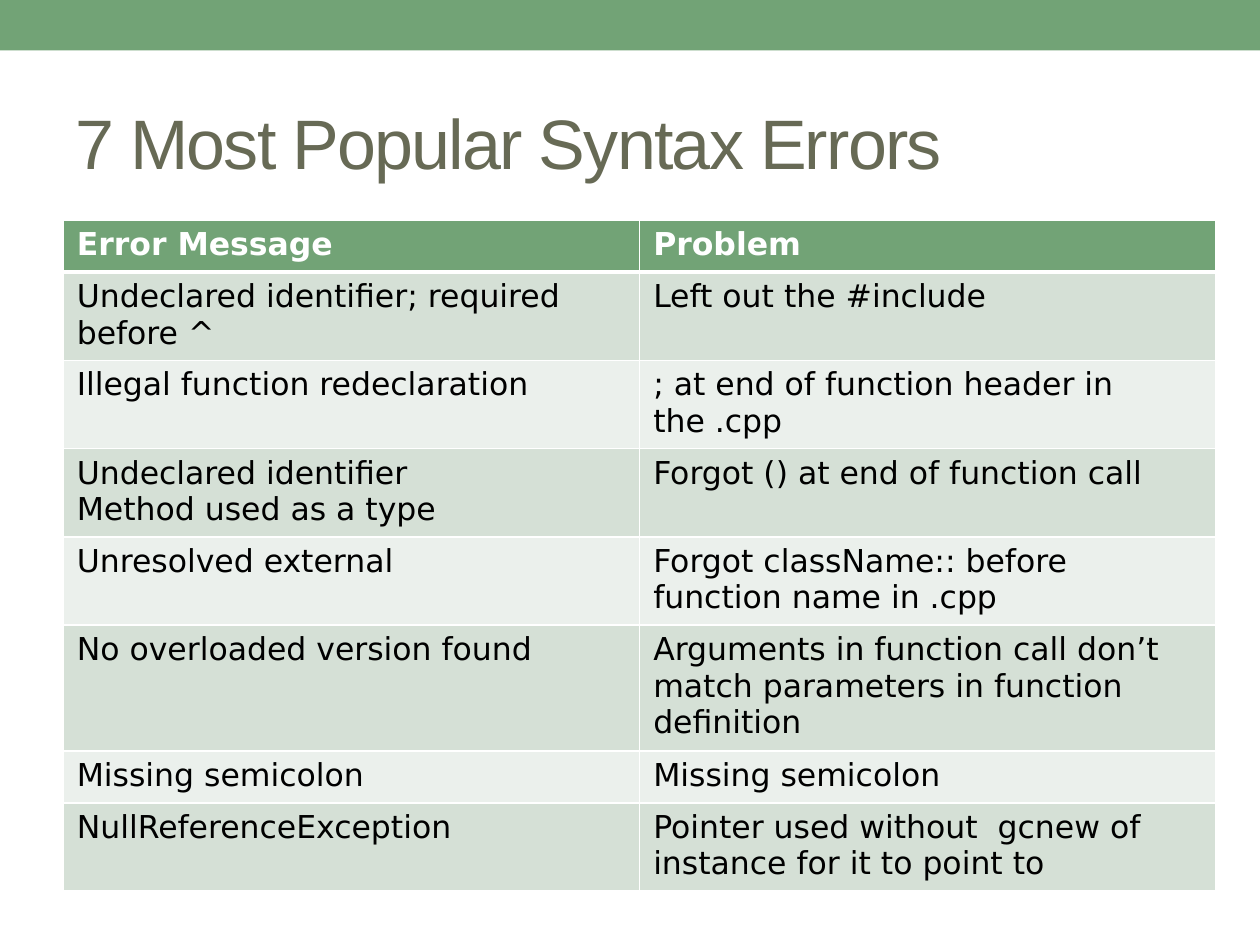
"""Build the slide listing the most popular syntax errors."""
from typing import NamedTuple

from lxml import etree
from pptx import Presentation
from pptx.dml.color import RGBColor
from pptx.enum.shapes import MSO_SHAPE
from pptx.enum.text import MSO_ANCHOR
from pptx.oxml.ns import qn
from pptx.slide import Slide
from pptx.table import _Cell
from pptx.util import Inches, Pt

RECTANGLE = MSO_SHAPE.RECTANGLE
MIDDLE = MSO_ANCHOR.MIDDLE
GREEN, WHITE, BLACK, OLIVE = "72A376", "FFFFFF", "000000", "676A55"
BANDS = ("D5E0D6", "EBF0EC")
THIN, THICK = 1, 3


class ErrorRow(NamedTuple):
    """An error message and the problem behind it."""

    message: str
    problem: str


HEADER = ErrorRow("Error Message", "Problem")
ERRORS = (
    ErrorRow("Undeclared identifier; required before ^", "Left out the #include"),
    ErrorRow("Illegal function redeclaration", "; at end of function header in the .cpp"),
    ErrorRow("Undeclared identifier\nMethod used as a type", "Forgot () at end of function call"),
    ErrorRow("Unresolved external", "Forgot className:: before function name in .cpp"),
    ErrorRow(
        "No overloaded version found",
        "Arguments in function call don’t match parameters in function definition",
    ),
    ErrorRow("Missing semicolon", "Missing semicolon"),
    ErrorRow(
        "NullReferenceException",
        "Pointer used without  gcnew of instance for it to point to",
    ),
)


def color(value: str) -> RGBColor:
    """Turn a hex string into a colour."""
    return RGBColor.from_string(value)


def add_band(page: Slide) -> None:
    """Draw the green band along the top edge."""
    band = page.shapes.add_shape(RECTANGLE, 0, 0, Inches(10), Inches(0.4))
    band.shadow.inherit = False
    band.fill.solid()
    band.fill.fore_color.rgb = color(GREEN)
    band.line.fill.background()


def add_title(page: Slide, text: str) -> None:
    """Write the slide title with slightly tightened letters."""
    box = page.shapes.add_textbox(Inches(0.5), Inches(0.58), Inches(9), Inches(1.08))
    frame = box.text_frame
    frame.word_wrap = True
    frame.vertical_anchor = MIDDLE
    para = frame.paragraphs[0]
    span = para.add_run()
    span.text = text
    para.font.name = span.font.name = "Arial"
    span.font.size = Pt(40)
    span.font.color.rgb = color(OLIVE)
    span.font._element.set("spc", "-100")


def add_border(cell: _Cell, side: str, width: int) -> None:
    """Give one side of a cell a white line."""
    properties = cell._tc.get_or_add_tcPr()
    line = etree.SubElement(properties, qn(f"a:ln{side}"), w=str(Pt(width)))
    fill = etree.SubElement(line, qn("a:solidFill"))
    etree.SubElement(fill, qn("a:srgbClr"), val=WHITE)


def fill_cell(cell: _Cell, text: str, row: int) -> None:
    """Write and style a cell by its row number."""
    is_header = row == 0
    cell.text = text
    cell.margin_left = cell.margin_right = Inches(0.11)
    cell.margin_top = cell.margin_bottom = Inches(0.05)
    add_border(cell, "L", THIN)
    add_border(cell, "R", THIN)
    add_border(cell, "T", THICK if row == 1 else THIN)
    add_border(cell, "B", THICK if is_header else THIN)
    cell.fill.solid()
    cell.fill.fore_color.rgb = color(GREEN if is_header else BANDS[(row - 1) % 2])
    for para in cell.text_frame.paragraphs:
        para.font.name = "DejaVu Sans"
        para.font.size = Pt(18)
        para.font.bold = is_header
        para.font.color.rgb = color(WHITE if is_header else BLACK)


def add_error_table(page: Slide) -> None:
    """Lay out the error messages beside their problems."""
    rows = (HEADER, *ERRORS)
    table = page.shapes.add_table(
        len(rows), len(HEADER), Inches(0.5), Inches(1.75),
        Inches(9.15), Inches(0.41 * len(rows)),
    ).table
    for row, entry in enumerate(rows):
        for column, text in enumerate(entry):
            fill_cell(table.cell(row, column), text, row)


def main() -> None:
    """Build and save the deck."""
    deck = Presentation()
    deck.slide_width, deck.slide_height = Inches(10), Inches(7.5)
    page = deck.slides.add_slide(deck.slide_layouts[6])
    add_band(page)
    add_title(page, "7 Most Popular Syntax Errors")
    add_error_table(page)
    deck.save("out.pptx")


if __name__ == "__main__":
    main()
